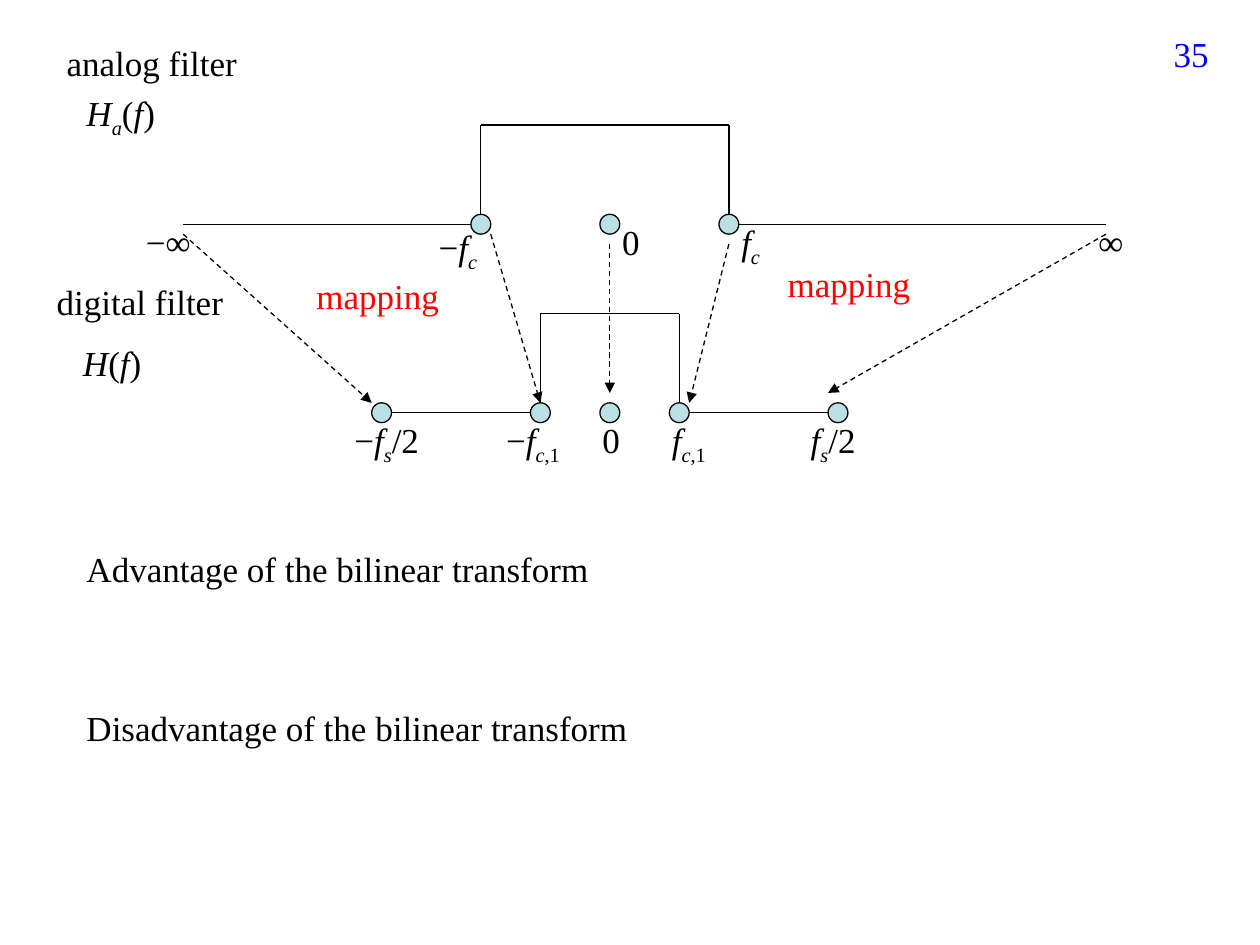
"""Build a slide that maps an analog filter to a digital filter on a 2 mm grid."""
from itertools import pairwise

from lxml import etree
from pptx import Presentation
from pptx import util as u
from pptx.enum import dml, shapes, text
from pptx.oxml.ns import qn

COLORS = {"ink": "000000", "node": "BBE0E3", "mapping": "FF0000", "number": "0000FF"}
FONT, SIZE = "Times New Roman", 20
CELL = u.Mm(2)
ORIGIN = (u.Inches(4.84), u.Inches(1.78))

ANALOG, DIGITAL = 0, 19
RESPONSES = [
    [(-43, ANALOG), (-13, ANALOG), (-13, -10), (12, -10), (12, ANALOG), (50, ANALOG)],
    [(-23, DIGITAL), (-7, DIGITAL), (-7, 9), (7, 9), (7, DIGITAL), (23, DIGITAL)],
]
NODES = {ANALOG: [-13, 0, 12], DIGITAL: [-23, -7, 0, 7, 23]}
ARROWS = [
    ((-43, 1), (-24, 18)),
    ((-12, 1), (-7, 18)),
    ((0, 2), (0, 17)),
    ((12, 2), (8, 18)),
    ((50, 1), (22, 17)),
]

H, F = ("H", "i"), ("f", "i")
OF_F = [("(", ""), F, (")", "")]
SUB_A, SUB_C, SUB_S = [(letter, "is") for letter in "acs"]
SUB_1, HALF, MINUS = (",1", "s"), ("/2", ""), ("−", "")

LABELS = [
    (-56, -19, 22, [[("analog filter", "")]]),
    (-54, -14, 10, [[H, SUB_A, *OF_F]]),
    (-57, 5, 21, [[("digital filter", "")], [H, *OF_F]]),
    (-48, -1, 8, [[("−∞", "")]]),
    (-18.5, -0.5, 8, [[MINUS, F, SUB_C]]),
    (0, -1, 8, [[("0", "")]]),
    (12, -1, 8, [[F, SUB_C]]),
    (48, -1, 8, [[("∞", "")]]),
    (-27, DIGITAL, 13, [[MINUS, F, SUB_S, HALF]]),
    (-11.7, DIGITAL, 10, [[MINUS, F, SUB_C, SUB_1]]),
    (-2, DIGITAL, 8, [[("0", "")]]),
    (5, DIGITAL, 8, [[F, SUB_C, SUB_1]]),
    (19, DIGITAL, 13, [[F, SUB_S, HALF]]),
    (-54, 32, 59, [[("Advantage of the bilinear transform", "")]]),
    (-54, 48, 59, [[("Disadvantage of the bilinear transform", "")]]),
]
MAPPINGS = [(-33.4, 4.4), (14.1, 3.2)]


def place(column, row):
    return int(ORIGIN[0] + column * CELL), int(ORIGIN[1] + row * CELL)


def outline(line):
    line.color.rgb = dml_color("ink")
    line.width = u.Pt(0.75)


def dml_color(name):
    from pptx.dml.color import RGBColor
    return RGBColor.from_string(COLORS[name])


def add_line(page, start, end, arrow=False):
    line = page.shapes.add_connector(
        shapes.MSO_CONNECTOR.STRAIGHT, *place(*start), *place(*end))
    outline(line.line)
    if arrow:
        line.line.dash_style = dml.MSO_LINE.DASH
        etree.SubElement(line.line._get_or_add_ln(), qn("a:tailEnd"), type="triangle")
    etree.SubElement(line._element.spPr, qn("a:effectLst"))


def add_node(page, column, row):
    node = page.shapes.add_shape(
        shapes.MSO_SHAPE.OVAL, *place(column - 1, row - 1), 2 * CELL, 2 * CELL)
    node.shadow.inherit = False
    node.fill.solid()
    node.fill.fore_color.rgb = dml_color("node")
    outline(node.line)


def add_label(page, column, row, width, paragraphs, color="ink", align=text.PP_ALIGN.LEFT):
    box = page.shapes.add_textbox(*place(column, row), int(width * CELL), u.Inches(0.43))
    frame = box.text_frame
    frame.word_wrap = True
    for index, spans in enumerate(paragraphs):
        para = frame.add_paragraph() if index else frame.paragraphs[0]
        para.alignment = align
        if index:
            para.space_before = u.Pt(11)
            para._p.get_or_add_pPr().set("marL", str(u.Pt(15)))
        for words, style in spans:
            span = para.add_run()
            span.text = words
            span.font.name, span.font.size = FONT, u.Pt(SIZE)
            span.font.italic = "i" in style
            span.font.color.rgb = dml_color(color)
            if "s" in style:
                span._r.get_or_add_rPr().set("baseline", "-25000")


def main():
    deck = Presentation()
    deck.slide_width, deck.slide_height = u.Inches(10), u.Inches(7.5)
    page = deck.slides.add_slide(deck.slide_layouts[6])
    for response in RESPONSES:
        for start, end in pairwise(response):
            add_line(page, start, end)
    for start, end in ARROWS:
        add_line(page, start, end, arrow=True)
    for row, columns in NODES.items():
        for column in columns:
            add_node(page, column, row)
    for label in LABELS:
        add_label(page, *label)
    for column, row in MAPPINGS:
        add_label(page, column, row, 20, [[("mapping", "")]], "mapping", text.PP_ALIGN.CENTER)
    add_label(page, 32, -20, 29.6, [[("35", "")]], "number", text.PP_ALIGN.RIGHT)
    deck.save("out.pptx")


if __name__ == "__main__":
    main()
